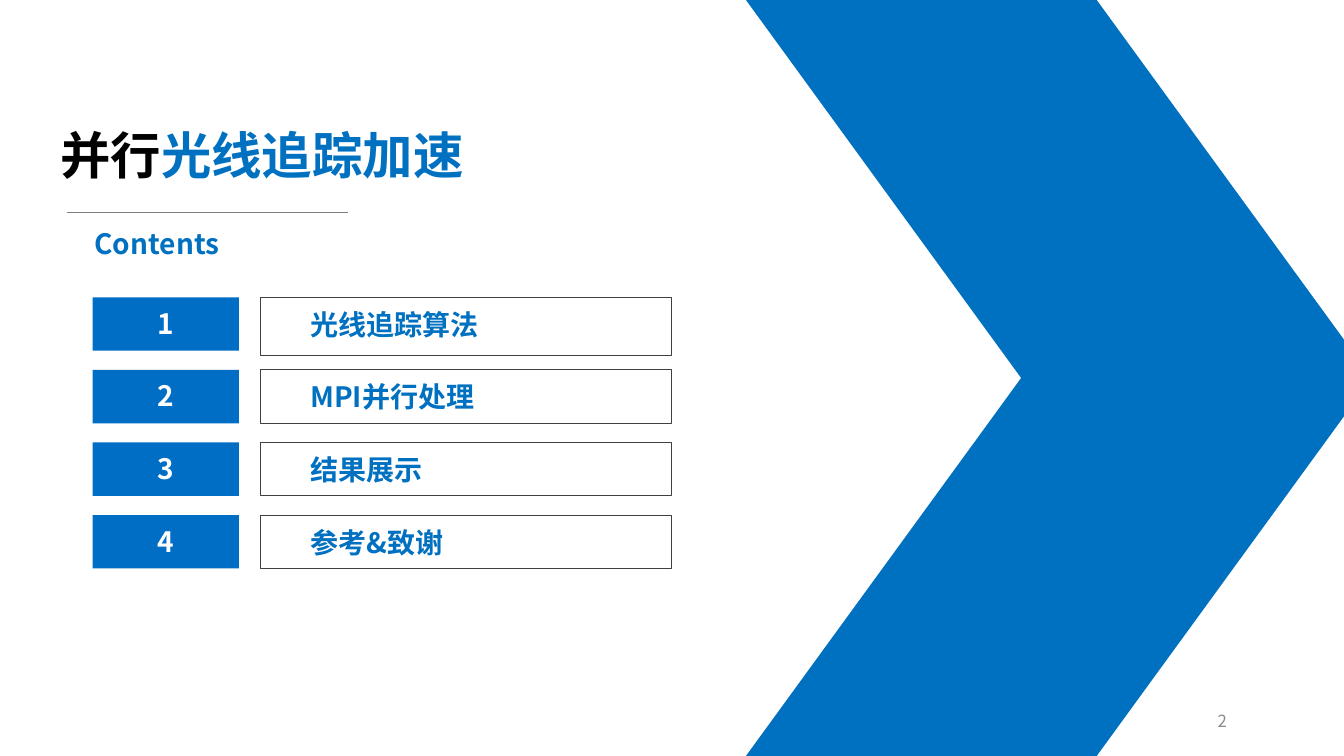
from dataclasses import dataclass

import lxml.etree
import pptx
import pptx.dml.color
import pptx.enum.shapes
import pptx.enum.text
import pptx.oxml.ns
import pptx.util

SHAPE = pptx.enum.shapes.MSO_SHAPE
ALIGN = pptx.enum.text.PP_ALIGN
ANCHOR = pptx.enum.text.MSO_ANCHOR

# Grid: square cells, a tenth of an inch a side
COLUMNS, ROWS = 133.33, 75
CELL = pptx.util.Inches(0.1)

FONT = "Noto Sans CJK SC"
COLOURS = {
    "blue": "0070C0",
    "number": "006EC5",
    "frame": "404040",
    "rule": "7F7F7F",
    "page": "8C8C8C",
    "black": "000000",
    "white": "FFFFFF",
}


@dataclass
class Box:
    column: float
    row: float
    columns: float
    rows: float

    def lengths(self) -> list[int]:
        return [round(cells * CELL) for cells in (self.column, self.row, self.columns, self.rows)]


@dataclass
class Entry:
    number: str
    title: str
    frame_rows: float = 5.3


ENTRIES = [
    Entry("1", "光线追踪算法", 5.8),
    Entry("2", "MPI并行处理"),
    Entry("3", "结果展示"),
    Entry("4", "参考&致谢"),
]
FIRST_ROW, ROW_STEP = 29.5, 7.2


def colour(name: str) -> pptx.dml.color.RGBColor:
    return pptx.dml.color.RGBColor.from_string(COLOURS[name])


def apply_format(target, values: dict) -> None:
    for name, value in values.items():
        setattr(target, name, value)


def add_block(slide, kind, box: Box, fill: str = "", line: str = ""):
    shape = slide.shapes.add_shape(kind, *box.lengths())
    shape.shadow.inherit = False
    if fill:
        shape.fill.solid()
        shape.fill.fore_color.rgb = colour(fill)
    else:
        shape.fill.background()
    if line:
        shape.line.color.rgb = colour(line)
        shape.line.width = pptx.util.Pt(0.75)
    else:
        shape.line.fill.background()
    return shape


def add_text(slide, box: Box, runs: list[tuple[str, str]], size: float = 20,
             bold: bool = True, align=ALIGN.LEFT, anchor=ANCHOR.TOP) -> None:
    frame = slide.shapes.add_textbox(*box.lengths()).text_frame
    apply_format(frame, {"word_wrap": True, "vertical_anchor": anchor})
    paragraph = frame.paragraphs[0]
    paragraph.alignment = align
    for text, colour_name in runs:
        run = paragraph.add_run()
        run.text = text
        apply_format(run.font, {"name": FONT, "size": pptx.util.Pt(size), "bold": bold})
        run.font.color.rgb = colour(colour_name)
        east_asian = lxml.etree.SubElement(run.font._element, pptx.oxml.ns.qn("a:ea"))
        east_asian.set("typeface", FONT)


def add_arrow_half(slide, row: float, flipped: bool) -> None:
    box = Box(74, row, 62.1, ROWS / 2)
    shape = add_block(slide, SHAPE.PARALLELOGRAM, box, fill="blue")
    shape.adjustments[0] = 0.728
    if flipped:
        shape._element.spPr.get_or_add_xfrm().set("flipV", "1")


def add_rule(slide, start: float, end: float, row: float) -> None:
    left, top, right, bottom = (round(cells * CELL) for cells in (start, row, end, row))
    rule = slide.shapes.add_connector(
        pptx.enum.shapes.MSO_CONNECTOR.STRAIGHT, left, top, right, bottom)
    rule.line.color.rgb = colour("rule")
    rule.line.width = pptx.util.Pt(0.5)
    lxml.etree.SubElement(rule._element.spPr, pptx.oxml.ns.qn("a:effectLst"))


def add_entry(slide, entry: Entry, row: float) -> None:
    add_block(slide, SHAPE.RECTANGLE, Box(25.8, row, 40.8, entry.frame_rows), line="frame")
    add_text(slide, Box(29.8, row + 0.5, 36.8, 4.4), [(entry.title, "blue")])
    add_block(slide, SHAPE.RECTANGLE, Box(9.2, row, 14.5, 5.3), fill="number")
    add_text(slide, Box(11.15, row + 0.4, 10.5, 4.4), [(entry.number, "white")],
             align=ALIGN.CENTER)


def main() -> None:
    presentation = pptx.Presentation()
    apply_format(presentation, {"slide_width": round(COLUMNS * CELL),
                                "slide_height": ROWS * CELL})
    slide = presentation.slides.add_slide(presentation.slide_layouts[6])

    # Large arrow on the right
    add_arrow_half(slide, ROWS / 2, flipped=False)
    add_arrow_half(slide, 0, flipped=True)

    # Heading
    add_text(slide, Box(5, 11.8, 70.4, 13.1),
             [("并行", "black"), ("光线追踪加速", "blue")], size=36)
    add_rule(slide, 6.6, 34.5, 21.1)
    add_text(slide, Box(8.4, 22, 15.7, 4.4), [("Contents", "blue")])

    # Contents list
    for index, entry in enumerate(ENTRIES):
        add_entry(slide, entry, FIRST_ROW + index * ROW_STEP)

    # Page number
    add_text(slide, Box(92.7, 69.5, 30, 4), [("2", "page")], size=12, bold=False,
             align=ALIGN.RIGHT, anchor=ANCHOR.MIDDLE)

    presentation.save("out.pptx")


if __name__ == "__main__":
    main()
